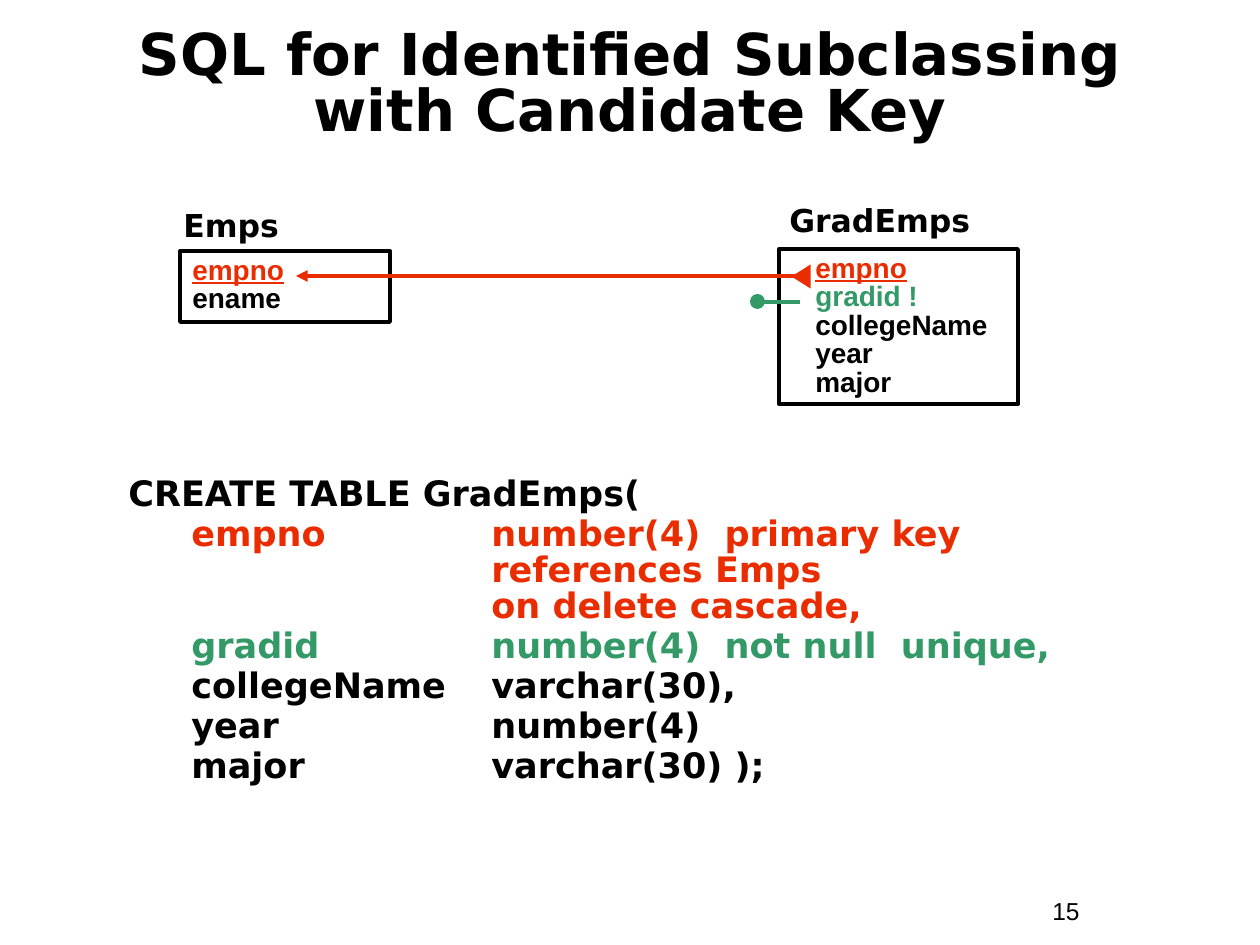
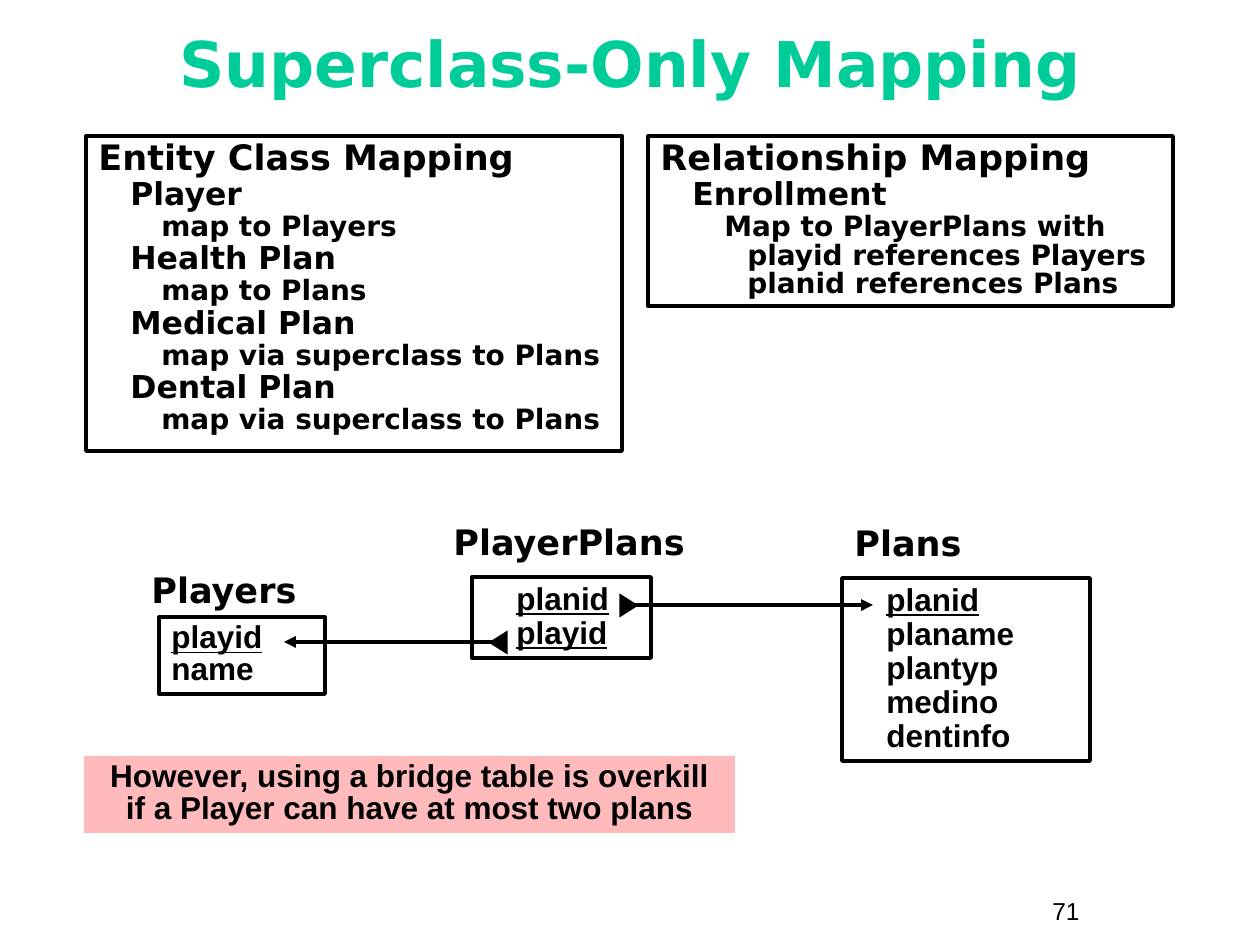
from copy import deepcopy
from lxml.etree import SubElement
from pptx import Presentation
from pptx.dml.color import RGBColor
from pptx.enum.shapes import MSO_CONNECTOR, MSO_SHAPE
from pptx.enum.text import MSO_ANCHOR, PP_ALIGN
from pptx.oxml.ns import qn
from pptx.util import Inches, Pt

PX = Inches(10) / 1260
COLORS = {
    "black": "000000", "red": "EA2D00", "green": "339966",
    "mint": "00CC99", "pink": "FFBBBB",
}
HEAD, BODY = "DejaVu Sans", "Arial"
KEY = {"underline": True}
RED_KEY = {"underline": True, "color": "red"}
GREEN = {"color": "green"}

SQL = [
    ("CREATE TABLE GradEmps(", {"left": 48, "first": -48}),
    ("empno\tnumber(4)  primary key\nreferences Emps\non delete cascade,", {"color": "red"}),
    ("gradid\tnumber(4)  not null  unique,", GREEN),
    "collegeName\tvarchar(30),",
    "year\tnumber(4)",
    "major\tvarchar(30) );",
]
EMP_TABLES = [
    {"label": ("Emps", 171, 200, 1), "box": (180, 251, 210, 71), "left": 0,
     "fields": [("empno", RED_KEY), "ename"]},
    {"label": ("GradEmps", 777, 202, 0.8), "box": (779, 249, 239, 155), "left": 24,
     "fields": [("empno", RED_KEY), ("gradid !", GREEN), "collegeName", "year", "major"]},
]
PLAN_TABLES = [
    {"label": ("Players", 139, 562, 1), "box": (159, 617, 166, 77), "left": 0,
     "spacing": 0.85, "fields": [("playid", KEY), "name"]},
    {"label": ("PlayerPlans", 441, 514, 1), "box": (472, 577, 179, 81), "left": 32,
     "spacing": 0.9, "fields": [("planid", KEY), ("playid", KEY)]},
    {"label": ("Plans", 842, 515, 1), "box": (842, 578, 248, 183), "left": 32,
     "spacing": 0.9,
     "fields": [("planid", KEY), "planame", "plantyp", "medino", "dentinfo"]},
]
LEVELS = [
    {"size": 20, "before": 1.2},
    {"size": 18, "before": 1.1, "left": 32},
    {"size": 16, "before": 1, "left": 63},
]
HANGING = {"left": 87, "first": -23}
MAPPINGS = [
    ((86, 136, 536, 315), [
        (0, "Entity Class Mapping", {}),
        (1, "Player", {}), (2, "map to Players", {}),
        (1, "Health Plan", {}), (2, "map to Plans", {}),
        (1, "Medical Plan", {}), (2, "map via superclass to Plans", {}),
        (1, "Dental Plan", {}), (2, "map via superclass to Plans", {}),
    ]),
    ((648, 136, 525, 170), [
        (0, "Relationship Mapping", {}),
        (1, "Enrollment", {}),
        (2, "Map to PlayerPlans with\nplayid references Players\nplanid references Plans", HANGING),
    ]),
]
REMARK = "However, using a bridge table is overkill if a Player can have at most two plans"


def px(n):
    return round(n * PX)


def rgb(name):
    return RGBColor.from_string(COLORS[name])


def write(tf, paras, **base):
    tf.word_wrap = True
    for i, item in enumerate(paras):
        content, own = (item, {}) if isinstance(item, str) else item
        fmt = {**base, **own}
        p = tf.paragraphs[0] if i == 0 else tf.add_paragraph()
        p.alignment = fmt.get("align", PP_ALIGN.LEFT)
        p.line_spacing = fmt.get("spacing", 1)
        p.space_before = Pt(fmt.get("before", 0) if i else 0)
        pPr = p._p.get_or_add_pPr()
        pPr.set("marL", str(px(fmt.get("left", 0))))
        pPr.set("indent", str(px(fmt.get("first", 0))))
        p.text = content
        for r in p.runs:
            r.font.name = fmt.get("font", HEAD)
            r.font.size = Pt(fmt["size"])
            r.font.bold = fmt.get("bold", True)
            r.font.underline = fmt.get("underline", False)
            r.font.color.rgb = rgb(fmt.get("color", "black"))
        for br in p._p.findall(qn("a:br")):
            br.append(deepcopy(p.runs[0]._r.rPr))


def text_box(slide, box, paras, anchor=MSO_ANCHOR.TOP, **fmt):
    tf = slide.shapes.add_textbox(*map(px, box)).text_frame
    tf.vertical_anchor = anchor
    write(tf, paras, **fmt)


def add_shape(slide, kind, box, fill=None, line=None):
    sp = slide.shapes.add_shape(kind, *map(px, box))
    sp.shadow.inherit = False
    if fill:
        sp.fill.solid()
        sp.fill.fore_color.rgb = rgb(fill)
    else:
        sp.fill.background()
    if line:
        sp.line.color.rgb = rgb(line)
        sp.line.width = Pt(2.25)
    else:
        sp.line.fill.background()
    return sp


def panel(slide, box, paras, fill=None, line="black", **fmt):
    tf = add_shape(slide, MSO_SHAPE.RECTANGLE, box, fill, line).text_frame
    tf.vertical_anchor = MSO_ANCHOR.TOP
    write(tf, paras, **fmt)


def add_line(slide, x1, x2, y, color, arrow=True):
    c = slide.shapes.add_connector(MSO_CONNECTOR.STRAIGHT, px(x1), px(y), px(x2), px(y))
    c.line.color.rgb = rgb(color)
    c.line.width = Pt(2.25)
    if arrow:
        SubElement(c.line._get_or_add_ln(), qn("a:tailEnd"), type="triangle")
    SubElement(c._element.spPr, qn("a:effectLst"))


def foreign_key(slide, x1, x2, y, color, base_at, turn):
    add_line(slide, x1, x2, y, color)
    sp = add_shape(slide, MSO_SHAPE.ISOSCELES_TRIANGLE, (*base_at, 24, 19), color)
    sp.rotation = turn


def draw_table(slide, table, label_size, field_size, spacing=0.85):
    name, x, y, label_spacing = table["label"]
    text_box(slide, (x, y, 271, 50), [name], size=label_size, spacing=label_spacing)
    panel(slide, table["box"], table["fields"], font=BODY, size=field_size,
          left=table["left"], spacing=table.get("spacing", spacing))


def new_slide(prs, number, title, box, **fmt):
    slide = prs.slides.add_slide(prs.slide_layouts[6])
    text_box(slide, (1040, 890, 116, 43), [number], font=BODY, size=14, bold=False)
    text_box(slide, box, [title], anchor=MSO_ANCHOR.MIDDLE, align=PP_ALIGN.CENTER, **fmt)
    return slide


def subclassing_slide(prs):
    slide = new_slide(prs, "15", "SQL for Identified Subclassing\nwith Candidate Key",
                      (42, 45, 1176, 84), size=33, spacing=0.8)
    text_box(slide, (116, 472, 998, 360), SQL, size=20, spacing=0.85, before=2.5,
             left=363, first=-300)
    for table in EMP_TABLES:
        draw_table(slide, table, 18, 16)
    foreign_key(slide, 806, 296, 276, "red", (789, 267), 270)
    add_shape(slide, MSO_SHAPE.OVAL, (752, 296, 11, 11), "green", "green")
    add_line(slide, 762, 800, 302, "green", arrow=False)


def mapping_slide(prs):
    slide = new_slide(prs, "71", "Superclass-Only Mapping", (42, 10, 1176, 105),
                      size=36, color="mint")
    for box, rows in MAPPINGS:
        paras = [(content, {**LEVELS[level], **own}) for level, content, own in rows]
        panel(slide, box, paras, spacing=0.85)
    for table in PLAN_TABLES:
        draw_table(slide, table, 20, 18)
    panel(slide, (84, 756, 651, 77), [REMARK], fill="pink", line=None, font=BODY,
          size=18, spacing=0.85, align=PP_ALIGN.CENTER)
    foreign_key(slide, 504, 284, 642, "black", (486, 633), 270)
    foreign_key(slide, 625, 873, 605, "black", (617, 596), 90)


def main():
    prs = Presentation()
    prs.slide_width, prs.slide_height = px(1260), px(945)
    subclassing_slide(prs)
    mapping_slide(prs)
    prs.save("out.pptx")


if __name__ == "__main__":
    main()
